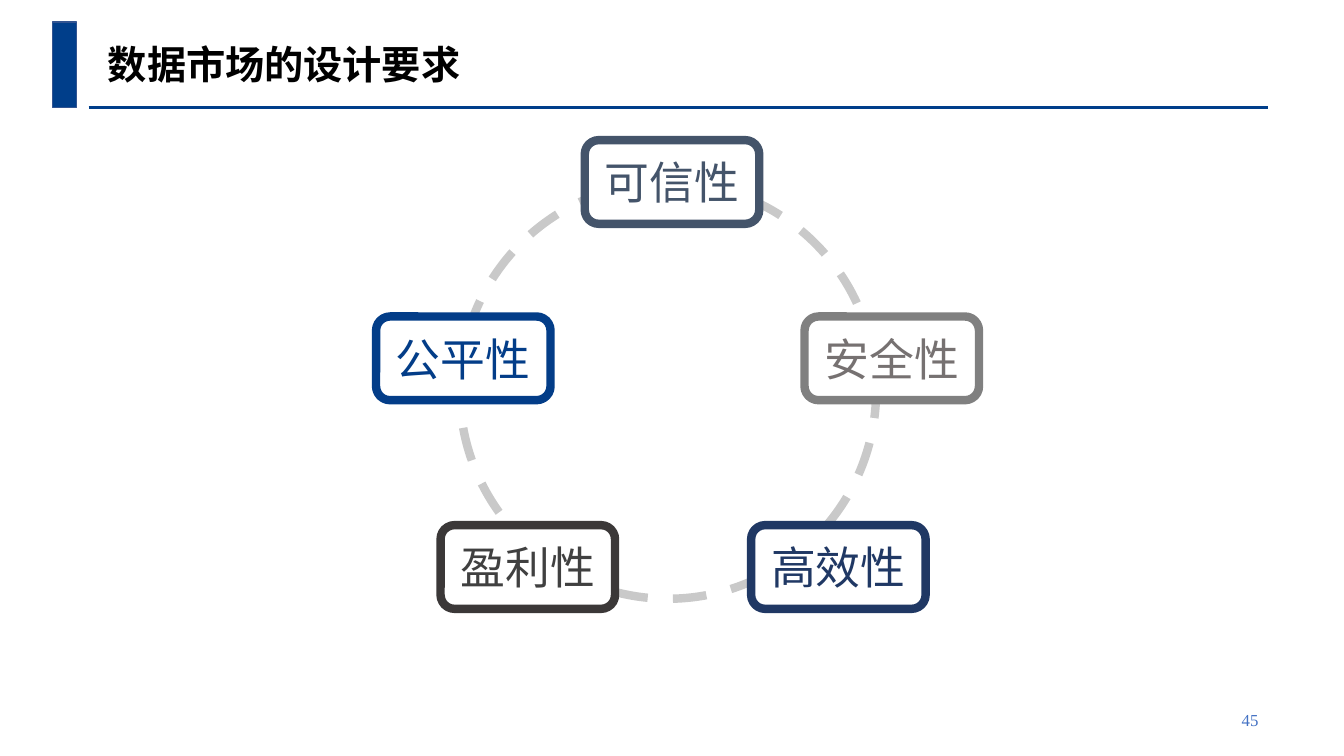
from dataclasses import dataclass

from lxml.etree import SubElement
from pptx import Presentation
from pptx.dml.color import RGBColor
from pptx.enum.dml import MSO_LINE
from pptx.enum.shapes import MSO_CONNECTOR, MSO_SHAPE
from pptx.enum.text import MSO_ANCHOR, MSO_AUTO_SIZE, PP_ALIGN
from pptx.oxml.ns import qn
from pptx.shapes.autoshape import Shape
from pptx.slide import Slide
from pptx.text.text import TextFrame
from pptx.util import Inches, Pt

# The page is a grid of 100 columns by 100 rows
PAGE_WIDTH, PAGE_HEIGHT = Inches(13.33), Inches(7.5)
FONT = "Times New Roman"

BLACK = RGBColor(0x00, 0x00, 0x00)
WHITE = RGBColor(0xFF, 0xFF, 0xFF)
BRAND_BLUE = RGBColor(0x00, 0x3E, 0x8A)
BAR_EDGE = RGBColor(0x32, 0x54, 0x91)
NUMBER_BLUE = RGBColor(0x44, 0x72, 0xC4)
RING_GREY = RGBColor(0xC9, 0xC9, 0xC9)
FAIR_BLUE = RGBColor(0x03, 0x3D, 0x88)
SLATE = RGBColor(0x44, 0x54, 0x6A)
CHARCOAL = RGBColor(0x3B, 0x38, 0x38)
DARK_GREY = RGBColor(0x40, 0x40, 0x40)
MID_GREY = RGBColor(0x80, 0x80, 0x80)
WARM_GREY = RGBColor(0x76, 0x71, 0x71)
NAVY = RGBColor(0x20, 0x38, 0x64)


@dataclass(frozen=True)
class Area:
    column: float
    row: float
    columns: float
    rows: float

    def lengths(self) -> tuple[int, int, int, int]:
        return (across(self.column), down(self.row),
                across(self.columns), down(self.rows))


@dataclass(frozen=True)
class Requirement:
    label: str
    center_column: float
    center_row: float
    border: RGBColor
    ink: RGBColor


CARD_COLUMNS, CARD_ROWS = 12.98, 11.07
TOP_ROW, MIDDLE_ROW, BOTTOM_ROW = 24.07, 47.4, 75
REQUIREMENTS = [
    Requirement("公平性", 34.47, MIDDLE_ROW, FAIR_BLUE, FAIR_BLUE),
    Requirement("可信性", 50, TOP_ROW, SLATE, SLATE),
    Requirement("盈利性", 39.27, BOTTOM_ROW, CHARCOAL, DARK_GREY),
    Requirement("安全性", 66.35, MIDDLE_ROW, MID_GREY, WARM_GREY),
    Requirement("高效性", 62.38, BOTTOM_ROW, NAVY, NAVY),
]


def across(columns: float) -> int:
    return round(PAGE_WIDTH * columns / 100)


def down(rows: float) -> int:
    return round(PAGE_HEIGHT * rows / 100)


def write(frame: TextFrame, text: str, size: float, color: RGBColor,
          alignment: PP_ALIGN, bold: bool = False) -> None:
    para = frame.paragraphs[0]
    para.alignment = alignment
    span = para.add_run()
    span.text = text
    span.font.name = FONT
    span.font.size = Pt(size)
    span.font.bold = bold
    span.font.color.rgb = color


def add_outlined(page: Slide, kind: MSO_SHAPE, area: Area, fill: RGBColor | None,
                 border: RGBColor, weight: float) -> Shape:
    shape = page.shapes.add_shape(kind, *area.lengths())
    shape.shadow.inherit = False
    if fill is None:
        shape.fill.background()
    else:
        shape.fill.solid()
        shape.fill.fore_color.rgb = fill
    shape.line.color.rgb = border
    shape.line.width = Pt(weight)
    return shape


def add_header(page: Slide) -> None:
    rule = page.shapes.add_connector(MSO_CONNECTOR.STRAIGHT, across(6.6), down(14.27),
                                     across(94.37), down(14.27))
    rule.line.color.rgb = BRAND_BLUE
    rule.line.width = Pt(2.25)
    SubElement(rule._element.spPr, qn("a:effectLst"))
    add_outlined(page, MSO_SHAPE.RECTANGLE, Area(3.9, 2.93, 1.8, 11.33),
                 BRAND_BLUE, BAR_EDGE, 1)

    title = page.shapes.title
    title.left, title.top, title.width, title.height = Area(7.28, 4.67, 38.18, 7.6).lengths()
    frame = title.text_frame
    frame.auto_size = MSO_AUTO_SIZE.NONE
    frame.vertical_anchor = MSO_ANCHOR.TOP
    write(frame, "数据市场的设计要求", 28, BLACK, PP_ALIGN.LEFT, bold=True)


def add_requirement(page: Slide, requirement: Requirement) -> None:
    area = Area(requirement.center_column - CARD_COLUMNS / 2,
                requirement.center_row - CARD_ROWS / 2, CARD_COLUMNS, CARD_ROWS)
    card = add_outlined(page, MSO_SHAPE.ROUNDED_RECTANGLE, area, WHITE,
                        requirement.border, 6)
    frame = card.text_frame
    frame.word_wrap = False
    frame.vertical_anchor = MSO_ANCHOR.MIDDLE
    write(frame, requirement.label, 32, requirement.ink, PP_ALIGN.CENTER)


def add_page_number(page: Slide) -> None:
    box = page.shapes.add_textbox(*Area(77.49, 92.53, 16.88, 5.33).lengths())
    box.text_frame.word_wrap = True
    box.text_frame.vertical_anchor = MSO_ANCHOR.MIDDLE
    write(box.text_frame, "45", 12, NUMBER_BLUE, PP_ALIGN.RIGHT)


def main() -> None:
    deck = Presentation()
    deck.slide_width, deck.slide_height = PAGE_WIDTH, PAGE_HEIGHT
    page = deck.slides.add_slide(deck.slide_layouts.get_by_name("Title Only"))
    add_header(page)

    # Dashed ring behind the five requirements
    ring = add_outlined(page, MSO_SHAPE.OVAL, Area(34.21, 24.13, 30.98, 55.07),
                        None, RING_GREY, 6)
    ring.line.dash_style = MSO_LINE.DASH
    for requirement in REQUIREMENTS:
        add_requirement(page, requirement)

    add_page_number(page)
    deck.save("out.pptx")


if __name__ == "__main__":
    main()
